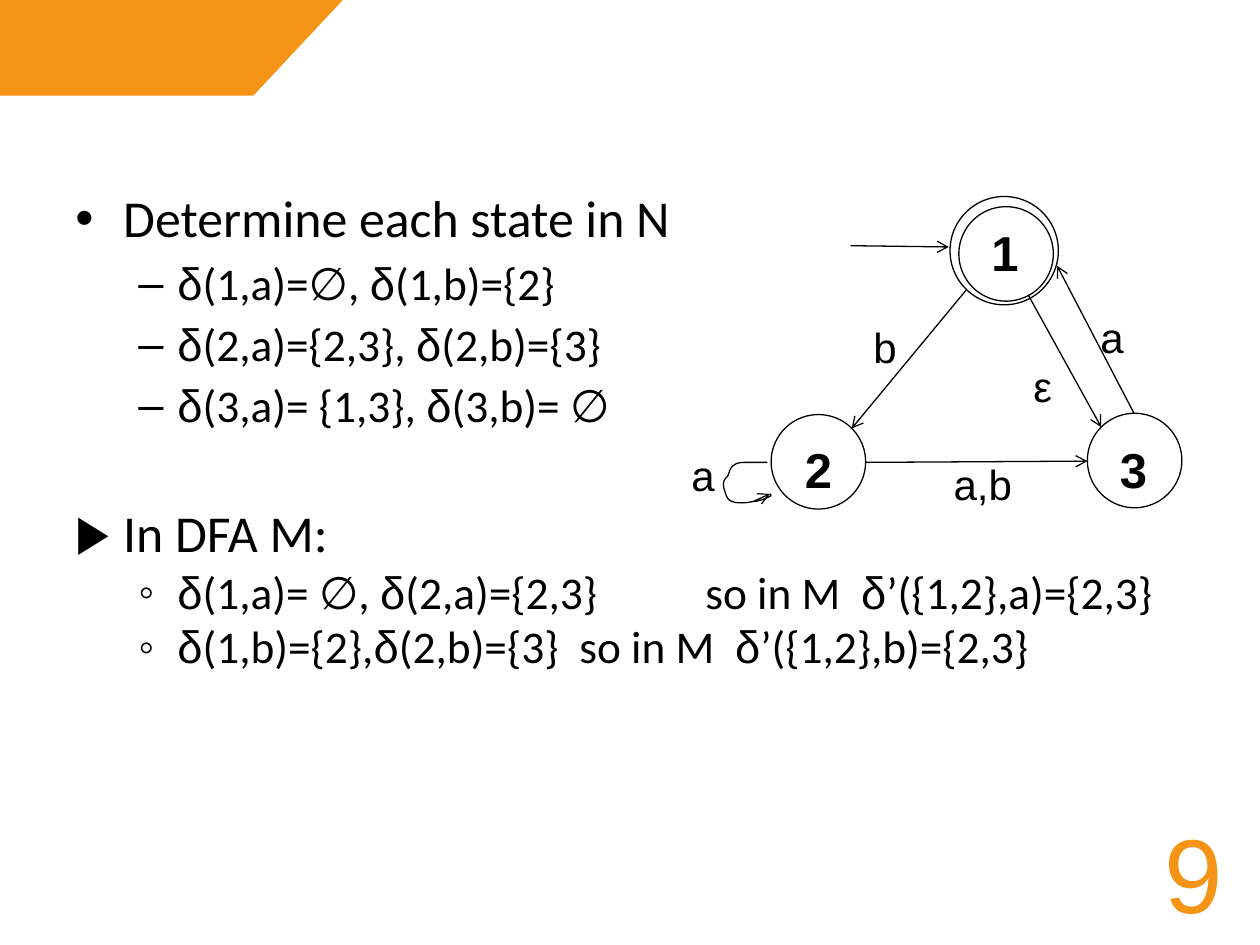
from itertools import pairwise

from lxml.etree import SubElement
from pptx import Presentation
from pptx.dml.color import RGBColor
from pptx.enum.shapes import MSO_CONNECTOR as Link, MSO_SHAPE as Form
from pptx.enum.text import MSO_AUTO_SIZE as Fit, PP_ALIGN as Align
from pptx.oxml.ns import qn
from pptx.util import Inches, Pt

COLS, ROWS = 100, 75
WIDE, HIGH = Inches(10), Inches(7.5)
INK, GOLD = "000000", "F69418"


def tint(code):
    """Turn a hex string into a colour."""
    return RGBColor.from_string(code)


def spot(box, x, y):
    """Turn columns and rows inside a box into slide lengths."""
    return round((box[0] + x) * WIDE / COLS), round((box[1] + y) * HIGH / ROWS)


def font(run, size, name="Arial", code=INK, bold=False):
    """Set the look of one run."""
    run.font.size, run.font.name, run.font.bold = Pt(size), name, bold
    run.font.color.rgb = tint(code)


def label(slide, box, at, size, text, points, code=INK, bold=False, align=Align.CENTER):
    """Place a one-line label in a box."""
    area = slide.shapes.add_textbox(*spot(box, *at), *spot((0, 0), *size))
    frame = area.text_frame
    frame.word_wrap, frame.auto_size = not bold, Fit.SHAPE_TO_FIT_TEXT
    frame.text = text
    para = frame.paragraphs[0]
    para.alignment = align
    font(para.runs[0], points, code=code, bold=bold)


def ring(slide, box, at, size):
    """Draw an empty circle."""
    disc = slide.shapes.add_shape(Form.OVAL, *spot(box, *at), *spot((0, 0), size, size))
    disc.shadow.inherit = False
    disc.fill.background()
    disc.line.color.rgb, disc.line.width = tint(INK), Pt(0.75)


def arrow(slide, box, start, end):
    """Draw an arrow between two points."""
    link = slide.shapes.add_connector(Link.STRAIGHT, *spot(box, *start), *spot(box, *end))
    link.line.color.rgb, link.line.width = tint(INK), Pt(0.75)
    props = link.element.spPr
    SubElement(props.find(qn("a:ln")), qn("a:tailEnd"), type="arrow")
    SubElement(props, qn("a:effectLst"))


def trace(slide, box, dots, closed):
    """Draw an outline through points."""
    first, *rest = [spot(box, *dot) for dot in dots]
    pen = slide.shapes.build_freeform(*first)
    pen.add_line_segments(rest, close=closed)
    shape = pen.convert_to_shape()
    shape.shadow.inherit = False
    return shape


def curve(knots, steps=6):
    """Sample a chain of cubic curves."""
    dots = [knots[0]]
    for i in range(0, len(knots) - 1, 3):
        for n in range(1, steps + 1):
            t = n / steps
            mix = ((1 - t) ** 3, 3 * t * (1 - t) ** 2, 3 * t * t * (1 - t), t ** 3)
            dots.append(tuple(sum(m * k[axis] for m, k in zip(mix, knots[i:i + 4]))
                              for axis in (0, 1)))
    return dots


def banner(slide, box):
    """Draw the slanted corner band."""
    wide, high = box[2:]
    band = trace(slide, box, [(0, high), (0, 0), (wide, 0), (wide - 7.3, high)], True)
    band.fill.solid()
    band.fill.fore_color.rgb = tint(GOLD)
    band.line.fill.background()


def body(slide, box):
    """Write the list of transitions."""
    lines = [
        (0, "•", 8, "Determine each state in N"),
        (1, "–", 7, "δ(1,a)=∅, δ(1,b)={2}"),
        (1, "–", 7, "δ(2,a)={2,3}, δ(2,b)={3}"),
        (1, "–", 7, "δ(3,a)= {1,3}, δ(3,b)= ∅"),
        (0, "▶", 43.4, "In DFA M:"),
        (1, "◦", 3.3, "δ(1,a)= ∅, δ(2,a)={2,3}\tso in M  δ’({1,2},a)={2,3}"),
        (1, "◦", 3.3, "δ(1,b)={2},δ(2,b)={3}\tso in M  δ’({1,2},b)={2,3}"),
    ]
    area = slide.shapes.add_textbox(*spot(box, 0, 0), *spot((0, 0), *box[2:]))
    frame = area.text_frame
    frame.word_wrap = True
    for row, (level, mark, gap, text) in enumerate(lines):
        para = frame.add_paragraph() if row else frame.paragraphs[0]
        para.level, para.line_spacing, para.space_before = level, 0.9, Pt(gap)
        props = para._p.get_or_add_pPr()
        left, hang = ((0.38, 0.38), (0.81, 0.31))[level]
        props.set("marL", str(Inches(left)))
        props.set("indent", str(-Inches(hang)))
        hue = SubElement(props, qn("a:buClr"))
        SubElement(hue, qn("a:srgbClr"), val=INK)
        SubElement(props, qn("a:buFont"), typeface="Arial")
        SubElement(props, qn("a:buChar"), char=mark)
        stops = SubElement(props, qn("a:tabLst"))
        for inch in range(1, 9):
            SubElement(stops, qn("a:tab"), pos=str(Inches(inch)), algn="l")
        first, *rest = text.split("δ")
        parts = [(first, "Calibri")] if first else []
        for part in rest:
            parts += [("δ", "Arial"), (part, "Calibri")]
        for part, name in parts:
            run = para.add_run()
            run.text = part
            font(run, (29.6, 25.9)[level], name)


def graph(slide, box):
    """Draw the automaton with its states and moves."""
    rings = [((24.1, 1.4), 7.5), ((23.4, 0.6), 8.6), ((9.2, 17.9), 7.5), ((34.3, 17.8), 7.5)]
    for at, size in rings:
        ring(slide, box, at, size)
    for text, at in [("1", (25.7, 2.2)), ("2", (10.9, 19.4)), ("3", (35.9, 19.4))]:
        label(slide, box, at, (4.1, 5.7), text, 28, bold=True)
    loop = [(8.9, 21.7), (8.4, 21.7), (7.8, 21.7), (7.4, 21.7), (6.9, 21.7), (6.5, 21.7),
            (6.3, 21.9), (6, 22), (5.9, 22.4), (5.8, 22.7), (5.7, 22.9), (5.6, 22.9),
            (5.5, 23.1), (5.4, 23.3), (5.4, 23.6), (5.5, 23.9), (5.6, 24.2), (5.7, 24.7),
            (6.1, 24.8), (6.5, 25), (7.4, 24.9), (7.8, 24.8), (8.3, 24.8), (8.9, 24.5),
            (9.1, 24.4), (9.3, 24.3), (9.1, 24.2), (9.1, 24.2)]
    bend = trace(slide, box, curve(loop), False)
    bend.fill.background()
    bend.line.color.rgb, bend.line.width = tint(INK), Pt(0.75)
    moves = [((15.5, 4.5), (23.3, 4.6)), ((24.7, 8), (15.6, 19)),
             ((16.7, 21.7), (34.3, 21.6)), ((38, 17.8), (31.9, 6.1)),
             ((29.6, 8.4), (35.4, 18.9)), ((7.8, 24.8), (9.1, 24.2))]
    for start, end in moves:
        arrow(slide, box, start, end)
    names = [("b", (16.3, 10), 3.9), ("a", (34.3, 9.2), 3.9), ("ε", (28.8, 13.1), 3.9),
             ("a,b", (22.5, 20.9), 7), ("a", (0.3, 20.2), 7)]
    for text, at, wide in names:
        label(slide, box, at, (wide, 5), text, 24)


def number(slide, box):
    """Write the page number."""
    label(slide, box, (0, 0), box[2:], "9", 60, GOLD, align=Align.LEFT)


def main():
    """Build and save the slide."""
    deck = Presentation()
    deck.slide_width, deck.slide_height = WIDE, HIGH
    slide = deck.slides.add_slide(deck.slide_layouts[6])
    banner(slide, (-0.3, -0.2, 27.7, 7.8))
    body(slide, (5, 14.8, 90, 49.5))
    graph(slide, (52, 15, 42, 26))
    number(slide, (91.4, 63.7, 7, 11))
    deck.save("out.pptx")


if __name__ == "__main__":
    main()
